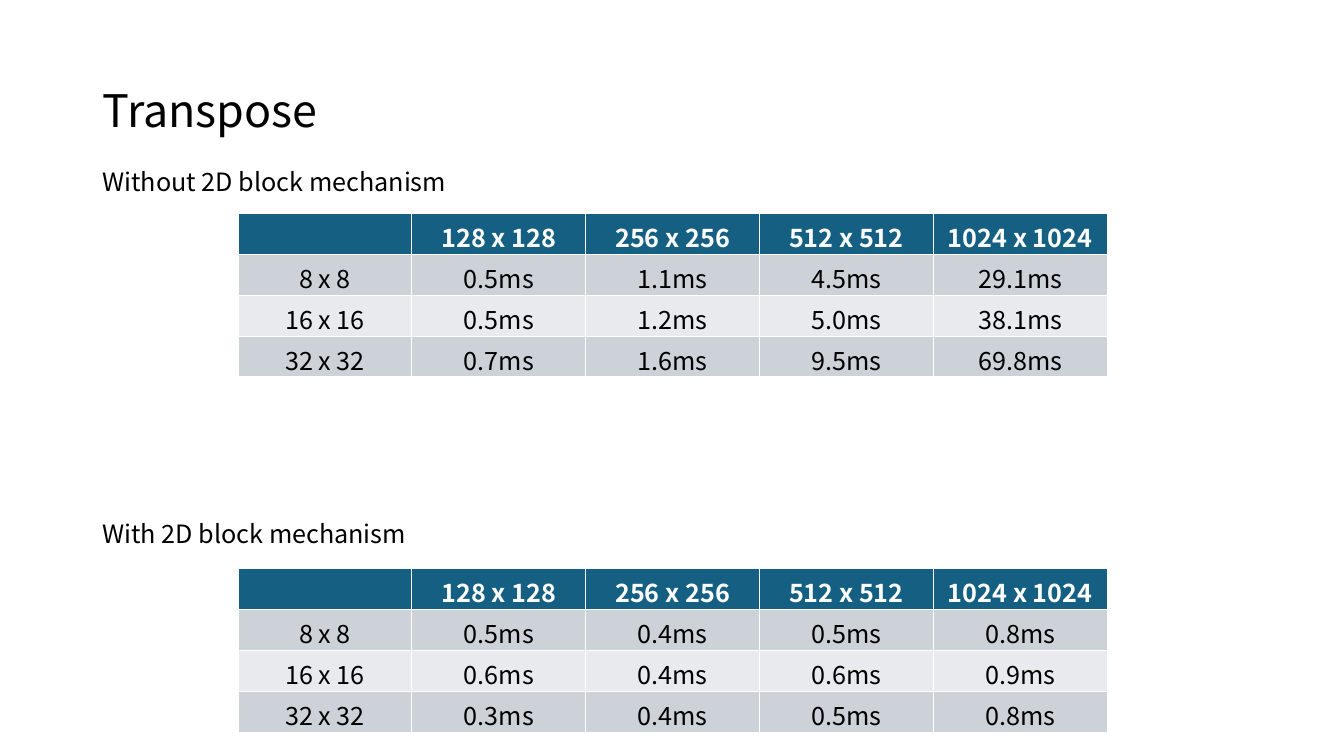
from pptx import Presentation
from pptx.dml.color import RGBColor as RGB
from pptx.enum.text import MSO_ANCHOR, MSO_AUTO_SIZE, PP_ALIGN
from pptx.util import Cm, Pt

COLORS = {"text": "000000", "header": "156082", "header_text": "FFFFFF",
          "odd": "CCD2D8", "even": "E8EAED"}
FONT = "Noto Sans CJK KR"
HEADER = ["", "128 x 128", "256 x 256", "512 x 512", "1024 x 1024"]
SECTIONS = [
    ("Without 2D block mechanism", 4.06, 10.57, 5.38, [
        ["8 x 8", "0.5ms", "1.1ms", "4.5ms", "29.1ms"],
        ["16 x 16", "0.5ms", "1.2ms", "5.0ms", "38.1ms"],
        ["32 x 32", "0.7ms", "1.6ms", "9.5ms", "69.8ms"]]),
    ("With 2D block mechanism", 12.93, 8.74, 14.33, [
        ["8 x 8", "0.5ms", "0.4ms", "0.5ms", "0.8ms"],
        ["16 x 16", "0.6ms", "0.4ms", "0.6ms", "0.9ms"],
        ["32 x 32", "0.3ms", "0.4ms", "0.5ms", "0.8ms"]]),
]
LEFT = Cm(2.33)
COL_W, ROW_H = Cm(4.38), Cm(1.03)


def format_text(p, size, color, bold=False):
    for font in [p.font] + [r.font for r in p.runs]:
        font.name = FONT
        font.size = Pt(size)
        font.bold = bold
        font.color.rgb = RGB.from_string(COLORS[color])


prs = Presentation()
prs.slide_width, prs.slide_height = Cm(33.87), Cm(19.05)
s = prs.slides.add_slide(prs.slide_layouts[5])

title = s.shapes.title
title.left, title.top, title.width, title.height = LEFT, Cm(1.01), Cm(29.21), Cm(3.68)
tf = title.text_frame
tf.text = "Transpose"
tf.auto_size = MSO_AUTO_SIZE.NONE
tf.vertical_anchor = MSO_ANCHOR.MIDDLE
p = tf.paragraphs[0]
p.alignment = PP_ALIGN.LEFT
p.line_spacing = 0.9
format_text(p, 32, "text")

for label, label_top, label_width, table_top, rows in SECTIONS:
    box = s.shapes.add_textbox(LEFT, Cm(label_top), Cm(label_width), Cm(1.03))
    tf = box.text_frame
    tf.word_wrap = True
    tf.auto_size = MSO_AUTO_SIZE.SHAPE_TO_FIT_TEXT
    tf.text = label
    format_text(tf.paragraphs[0], 18, "text")

    grid = [HEADER] + rows
    table = s.shapes.add_table(len(grid), len(HEADER), Cm(6), Cm(table_top),
                               COL_W * len(HEADER), ROW_H * len(grid)).table
    for i, values in enumerate(grid):
        table.rows[i].height = ROW_H
        fill = "header" if i == 0 else "odd" if i % 2 else "even"
        for j, value in enumerate(values):
            cell = table.cell(i, j)
            cell.fill.solid()
            cell.fill.fore_color.rgb = RGB.from_string(COLORS[fill])
            p = cell.text_frame.paragraphs[0]
            p.text = value
            p.alignment = PP_ALIGN.CENTER
            format_text(p, 18, "text" if i else "header_text", i == 0)

prs.save("out.pptx")
